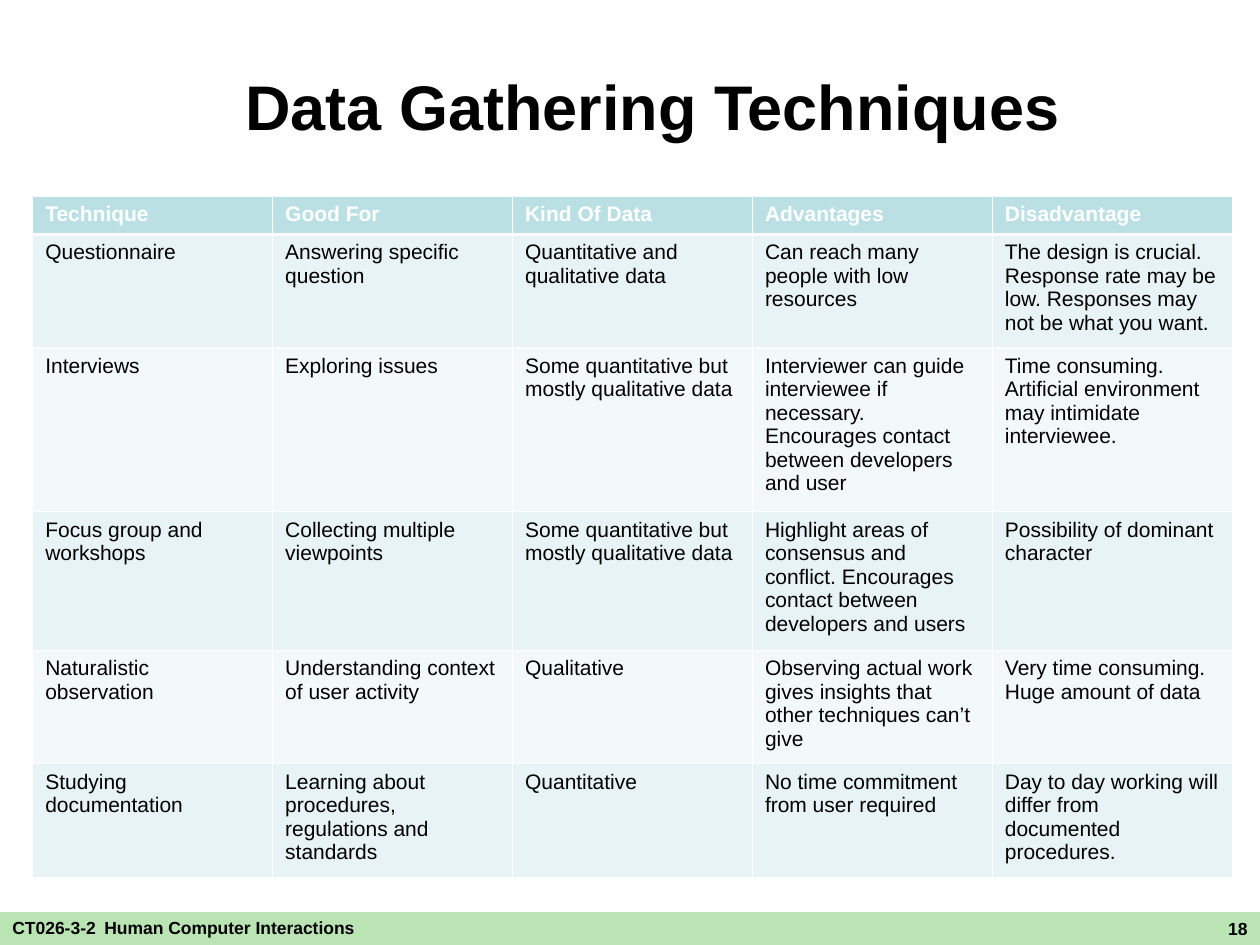
from lxml import etree
from pptx import Presentation
from pptx.dml.color import RGBColor
from pptx.enum.shapes import MSO_SHAPE
from pptx.enum.text import MSO_ANCHOR, PP_ALIGN
from pptx.oxml.ns import qn
from pptx.util import Inches, Pt

RECT = MSO_SHAPE.RECTANGLE
MIDDLE = MSO_ANCHOR.MIDDLE
LEFT, CENTER, RIGHT = PP_ALIGN.LEFT, PP_ALIGN.CENTER, PP_ALIGN.RIGHT

FONT = "Arial"
BLACK, WHITE, GREEN = "000000", "FFFFFF", "BAE4B4"
HEADER_FILL = "BBE0E3"
BAND_FILLS = ["F3F9FA", "E7F3F4"]
THIN, THICK = 0.45, 1.47

TITLE = "Data Gathering Techniques"
COURSE = [("CT026-3-2", 10, True), (" ", 18, False), ("Human Computer Interactions", 10, True)]
PAGE = [("18", 10, True)]
ROWS = [
    ["Technique", "Good For", "Kind Of Data", "Advantages", "Disadvantage"],
    ["Questionnaire", "Answering specific question", "Quantitative and qualitative data",
     "Can reach many people with low resources",
     "The design is crucial. Response rate may be low. Responses may not be what you want."],
    ["Interviews", "Exploring issues", "Some quantitative but mostly qualitative data",
     "Interviewer can guide interviewee if necessary. Encourages contact between developers and user",
     "Time consuming. Artificial environment may intimidate interviewee."],
    ["Focus group and workshops", "Collecting multiple viewpoints",
     "Some quantitative but mostly qualitative data",
     "Highlight areas of consensus and conflict. Encourages contact between developers and users",
     "Possibility of dominant character"],
    ["Naturalistic observation", "Understanding context of user activity", "Qualitative",
     "Observing actual work gives insights that other techniques can’t give",
     "Very time consuming. Huge amount of data"],
    ["Studying documentation", "Learning about procedures, regulations and standards", "Quantitative",
     "No time commitment from user required",
     "Day to day working will differ from documented procedures."],
]
ROW_HEIGHTS = [0.3, 0.9, 1.3, 1.1, 0.9, 0.9]
TABLE_WIDTH = 9.52


def rgb(value):
    return RGBColor.from_string(value)


def style(r, size, color=BLACK, bold=False):
    r.font.name = FONT
    r.font.size = Pt(size)
    r.font.bold = bold
    r.font.color.rgb = rgb(color)


def add_text(s, box, runs, align):
    tf = s.shapes.add_textbox(*map(Inches, box)).text_frame
    tf.word_wrap = True
    p = tf.paragraphs[0]
    p.alignment = align
    for text, size, bold in runs:
        r = p.add_run()
        r.text = text
        style(r, size, bold=bold)


def set_borders(cell, widths):
    tcPr = cell._tc.get_or_add_tcPr()
    for side, width in widths.items():
        ln = etree.SubElement(tcPr, qn(f"a:ln{side}"), w=str(Pt(width)))
        fill = etree.SubElement(ln, qn("a:solidFill"))
        etree.SubElement(fill, qn("a:srgbClr"), val=WHITE)


def add_table(s):
    frame = s.shapes.add_table(len(ROWS), len(ROWS[0]), Inches(0.26), Inches(1.56),
                               Inches(TABLE_WIDTH), Inches(sum(ROW_HEIGHTS)))
    table = frame.table
    for col in table.columns:
        col.width = Inches(TABLE_WIDTH / len(ROWS[0]))
    for i, (texts, height) in enumerate(zip(ROWS, ROW_HEIGHTS)):
        header = i == 0
        table.rows[i].height = Inches(height)
        for j, text in enumerate(texts):
            cell = table.cell(i, j)
            set_borders(cell, {"L": THIN, "R": THIN, "T": THICK if i == 1 else THIN,
                               "B": THICK if header else THIN})
            cell.fill.solid()
            cell.fill.fore_color.rgb = rgb(HEADER_FILL if header else BAND_FILLS[i % 2])
            cell.text_frame.text = text
            style(cell.text_frame.paragraphs[0].runs[0], 12, WHITE if header else BLACK, header)


def main():
    prs = Presentation()
    prs.slide_width, prs.slide_height = Inches(10), Inches(7.5)
    s = prs.slides.add_slide(prs.slide_layouts[5])

    bar = s.shapes.add_shape(RECT, *map(Inches, (0, 7.24, 10, 0.26)))
    bar.shadow.inherit = False
    bar.fill.solid()
    bar.fill.fore_color.rgb = rgb(GREEN)
    bar.line.fill.background()

    title = s.shapes.title
    title.left, title.top, title.width, title.height = map(Inches, (1.33, 0.21, 7.7, 1.25))
    tf = title.text_frame
    tf.text = TITLE
    tf.vertical_anchor = MIDDLE
    tf.paragraphs[0].alignment = CENTER
    style(tf.paragraphs[0].runs[0], 36, bold=True)

    add_text(s, (0, 7.12, 3.71, 0.28), COURSE, LEFT)
    add_text(s, (6.83, 7.24, 3.17, 0.26), PAGE, RIGHT)
    add_table(s)
    prs.save("out.pptx")


if __name__ == "__main__":
    main()
